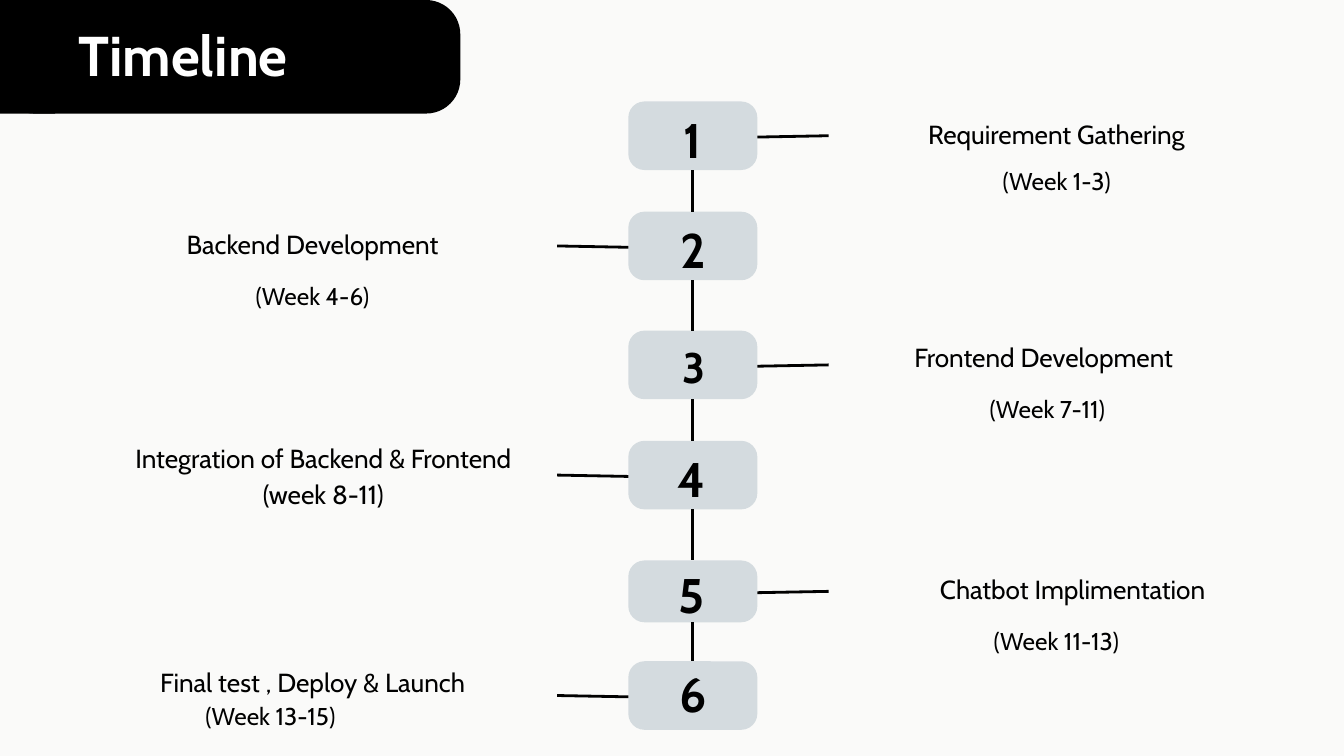
from dataclasses import dataclass

from lxml import etree
from pptx import Presentation
from pptx.dml.color import RGBColor
from pptx.enum.shapes import MSO_CONNECTOR, MSO_SHAPE
from pptx.enum.text import MSO_ANCHOR, PP_ALIGN
from pptx.oxml.ns import qn
from pptx.util import Inches, Pt

STRAIGHT = MSO_CONNECTOR.STRAIGHT
RECTANGLE = MSO_SHAPE.RECTANGLE
ROUNDED = MSO_SHAPE.ROUNDED_RECTANGLE
CENTER = PP_ALIGN.CENTER
TOP = MSO_ANCHOR.TOP


@dataclass(frozen=True)
class Theme:
    font: str = "Cabin"
    background: RGBColor = RGBColor(0xFA, 0xFA, 0xF9)
    ink: RGBColor = RGBColor(0, 0, 0)
    tile: RGBColor = RGBColor(0xD4, 0xDB, 0xDF)
    title_ink: RGBColor = RGBColor(0xFF, 0xFF, 0xFF)
    title_size: float = 60
    number_size: float = 52
    small_number_size: float = 45.7
    label_size: float = 28
    week_size: float = 26
    leading: float = 1.4
    line_width: float = 3


@dataclass(frozen=True)
class Step:
    top: float
    height: float
    number_area: tuple
    number_size: float
    label: str
    label_area: tuple
    week: str = ""
    week_area: tuple = ()

    @property
    def bottom(self):
        return self.top + self.height

    @property
    def middle(self):
        return self.top + self.height / 2


THEME = Theme()
TILE_LEFT, TILE_WIDTH, TILE_RADIUS = 9.35, 1.92, 0.24
TILE_RIGHT = TILE_LEFT + TILE_WIDTH
SPINE = TILE_LEFT + TILE_WIDTH / 2
BRANCH_LENGTH, BRANCH_DROP = 1.06, 0.02

STEPS = [
    Step(1.51, 1.02, (10.12, 1.49, 0.38, 0.97), THEME.number_size,
         "Requirement Gathering", (12.8, 1.68, 5.84, 0.53),
         "(Week 1-3)", (14.18, 2.4, 3.09, 0.49)),
    Step(3.15, 1.02, (10.12, 3.13, 0.4, 0.97), THEME.number_size,
         "Backend Development", (1.6, 3.32, 6.1, 0.53),
         "(Week 4-6)", (1.6, 4.11, 6.1, 0.49)),
    Step(4.92, 1.02, (10.09, 4.95, 0.48, 0.85), THEME.small_number_size,
         "Frontend Development", (12.91, 5, 5.24, 0.53),
         "(Week 7-11)", (12.16, 5.79, 6.85, 0.49)),
    Step(6.56, 1.02, (10.07, 6.54, 0.45, 0.97), THEME.number_size,
         "Integration of Backend & Frontend (week 8-11)", (1.91, 6.5, 5.8, 1.07)),
    Step(8.34, 0.92, (10.09, 8.26, 0.41, 0.97), THEME.number_size,
         "Chatbot Implimentation", (12.91, 8.46, 6.1, 0.53),
         "(Week 11-13)", (13.78, 9.24, 3.88, 0.49)),
    Step(9.84, 1.02, (10.08, 9.73, 0.47, 0.97), THEME.number_size,
         "Final test , Deploy & Launch", (2.06, 9.84, 5.18, 0.53),
         "(Week 13-15)", (0.34, 10.37, 7.37, 0.49)),
]


def apply_format(target, values):
    for name, value in values.items():
        setattr(target, name, value)


def add_panel(page, area, color, radius=0):
    kind = ROUNDED if radius else RECTANGLE
    panel = page.shapes.add_shape(kind, *map(Inches, area))
    if radius:
        panel.adjustments[0] = radius / min(area[2:])
    panel.shadow.inherit = False
    panel.fill.solid()
    panel.fill.fore_color.rgb = color
    panel.line.fill.background()


def add_text(page, area, text, size, color=THEME.ink, bold=False):
    frame = page.shapes.add_textbox(*map(Inches, area)).text_frame
    apply_format(frame, {
        "word_wrap": True, "vertical_anchor": TOP,
        "margin_left": 0, "margin_right": 0, "margin_top": 0, "margin_bottom": 0,
    })
    para = frame.paragraphs[0]
    apply_format(para, {"alignment": CENTER, "line_spacing": Pt(size * THEME.leading)})
    span = para.add_run()
    span.text = text
    apply_format(span.font, {"name": THEME.font, "size": Pt(size), "bold": bold})
    span.font.color.rgb = color


def add_line(page, start, end):
    line = page.shapes.add_connector(STRAIGHT, *map(Inches, (*start, *end)))
    line.line.color.rgb = THEME.ink
    line.line.width = Pt(THEME.line_width)
    etree.SubElement(line._element.spPr, qn("a:effectLst"))


def add_title(page):
    add_panel(page, (0, 0, 6.85, 1.69), THEME.ink, radius=0.51)
    add_panel(page, (0, 0, 0.82, 1.69), THEME.ink)
    add_text(page, (0.97, 0.14, 3.51, 1.12), "Timeline",
             THEME.title_size, THEME.title_ink, bold=True)


def add_branch(page, step, on_right):
    inner = TILE_RIGHT if on_right else TILE_LEFT
    outer = inner + BRANCH_LENGTH if on_right else inner - BRANCH_LENGTH
    add_line(page, (inner, step.middle + BRANCH_DROP), (outer, step.middle))


def add_step(page, number, step):
    add_panel(page, (TILE_LEFT, step.top, TILE_WIDTH, step.height), THEME.tile, TILE_RADIUS)
    add_text(page, step.number_area, str(number), step.number_size, bold=True)
    add_branch(page, step, on_right=number % 2 == 1)
    add_text(page, step.label_area, step.label, THEME.label_size)
    if step.week:
        add_text(page, step.week_area, step.week, THEME.week_size)


def main():
    deck = Presentation()
    apply_format(deck, {"slide_width": Inches(20), "slide_height": Inches(11.25)})
    page = deck.slides.add_slide(deck.slide_layouts[6])
    page.background.fill.solid()
    page.background.fill.fore_color.rgb = THEME.background
    add_title(page)
    for number, step in enumerate(STEPS, start=1):
        add_step(page, number, step)
    for upper, lower in zip(STEPS, STEPS[1:]):
        add_line(page, (SPINE, upper.bottom), (SPINE, lower.top))
    deck.save("out.pptx")


if __name__ == "__main__":
    main()
